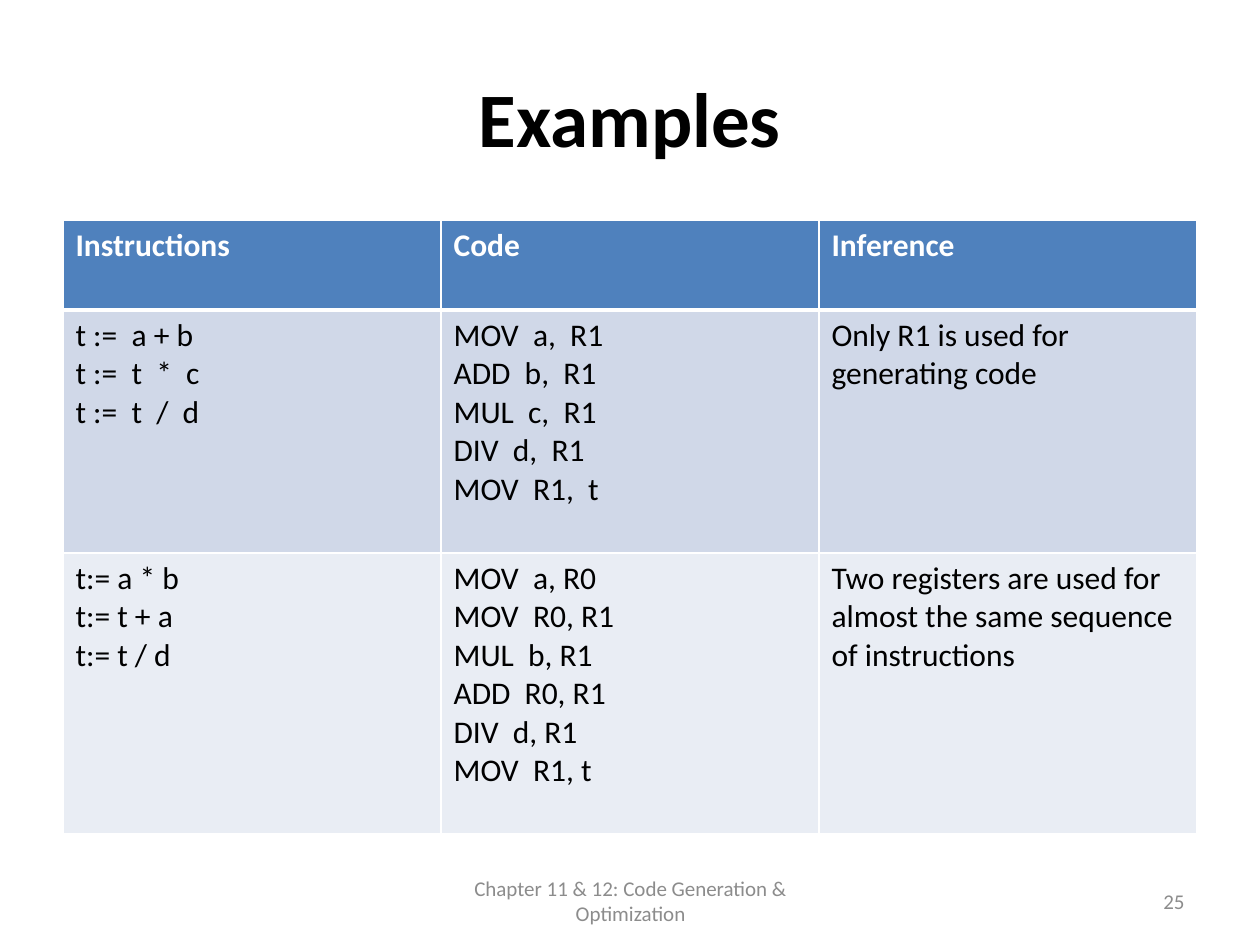
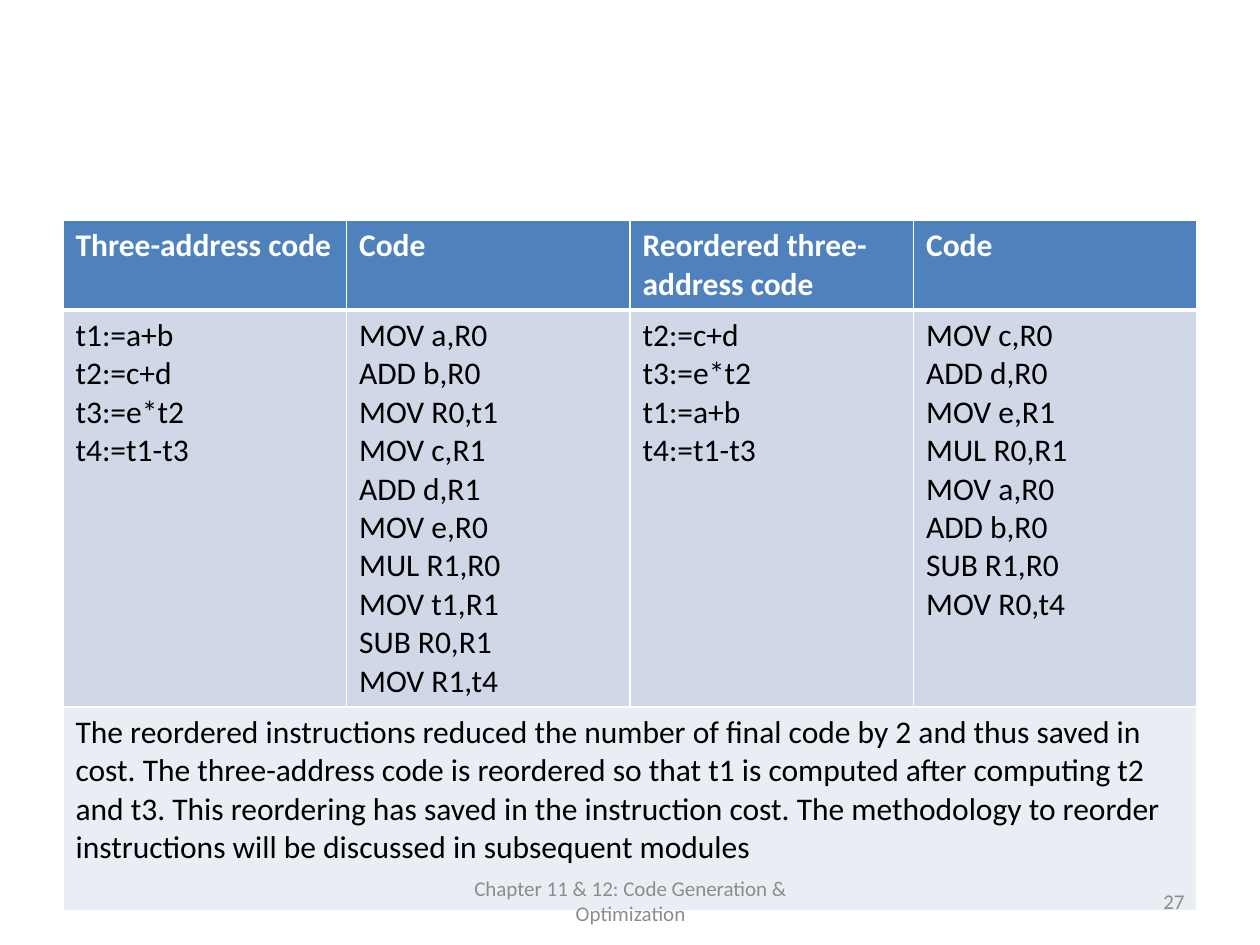
from lxml.etree import SubElement
from pptx import Presentation
from pptx.dml.color import RGBColor
from pptx.enum.text import MSO_ANCHOR as Anchor, PP_ALIGN as Align
from pptx.oxml.ns import qn
from pptx.util import Inches, Pt

WHITE, BLACK, GRAY = "FFFFFF", "000000", "8C8C8C"
HEADER_FILL = "4F81BD"
BAND_FILLS = ("D0D8E8", "E9EDF4")
FOOTER = "Chapter 11 & 12: Code Generation & Optimization"

TITLE_STYLE = {"size": Pt(44), "bold": True, "color": BLACK}
HEADER_STYLE = {"size": Pt(18), "bold": True, "color": WHITE}
BODY_STYLE = {"size": Pt(18), "bold": False, "color": BLACK}
FOOTER_STYLE = {"size": Pt(12), "bold": False, "color": GRAY}


def rgb(color):
    return RGBColor.from_string(color)


class Deck:
    """Holds the shared style and the current slide."""

    def __init__(self, font_name):
        self.font_name = font_name
        self.presentation = Presentation()
        self.presentation.slide_width = Inches(10)
        self.presentation.slide_height = Inches(7.5)
        self.slide = None

    def add_slide(self, title=None):
        layout = self.presentation.slide_layouts[6]
        self.slide = self.presentation.slides.add_slide(layout)
        background = self.slide.background.fill
        background.solid()
        background.fore_color.rgb = rgb(WHITE)
        if title:
            self.text(title, (0.5, 0.3, 9, 1.25), TITLE_STYLE, Align.CENTER)

    def fill_text(self, frame, text, style, align=Align.LEFT):
        """Put each line of text in its own paragraph."""
        frame.word_wrap = True
        for index, line in enumerate(text.split("\n")):
            paragraph = frame.paragraphs[0] if index == 0 else frame.add_paragraph()
            paragraph.alignment = align
            run = paragraph.add_run()
            run.text = line
            run.font.name = self.font_name
            for name, value in style.items():
                if name == "color":
                    run.font.color.rgb = rgb(value)
                else:
                    setattr(run.font, name, value)

    def text(self, text, box, style, align):
        shape = self.slide.shapes.add_textbox(*map(Inches, box))
        shape.text_frame.vertical_anchor = Anchor.MIDDLE
        self.fill_text(shape.text_frame, text, style, align)

    def footer(self, number):
        self.text(str(number), (7.17, 6.95, 2.33, 0.4), FOOTER_STYLE, Align.RIGHT)
        self.text(FOOTER, (3.42, 6.95, 3.17, 0.4), FOOTER_STYLE, Align.CENTER)

    def borders(self, cell, widths):
        """Draw white edges; the lines must come before the cell fill."""
        properties = cell._tc.get_or_add_tcPr()
        for index, (side, width) in enumerate(widths.items()):
            line = SubElement(properties, qn(f"a:ln{side}"), w=str(Pt(width)))
            fill = SubElement(line, qn("a:solidFill"))
            SubElement(fill, qn("a:srgbClr"), val=WHITE)
            properties.insert(index, line)

    def table(self, rows, heights):
        columns = len(rows[0])
        frame = self.slide.shapes.add_table(
            len(rows), columns, Inches(0.5), Inches(1.75), Inches(9), Inches(sum(heights)))
        table = frame.table
        for column in table.columns:
            column.width = Inches(9 / columns)
        for row_index, (texts, height) in enumerate(zip(rows, heights)):
            table.rows[row_index].height = Inches(height)
            is_header = row_index == 0
            color = HEADER_FILL if is_header else BAND_FILLS[(row_index - 1) % 2]
            style = HEADER_STYLE if is_header else BODY_STYLE
            widths = {"L": 1, "R": 1, "T": 3 if row_index == 1 else 1,
                      "B": 3 if is_header else 1}
            for column_index in range(columns):
                cell = table.cell(row_index, column_index)
                cell.fill.solid()
                cell.fill.fore_color.rgb = rgb(color)
                self.borders(cell, widths)
                if column_index < len(texts):
                    self.fill_text(cell.text_frame, texts[column_index], style)
            # A row with a single text spans the whole table
            if len(texts) == 1:
                table.cell(row_index, 0).merge(table.cell(row_index, columns - 1))


def main():
    deck = Deck("Calibri")

    # Register use in two instruction sequences
    deck.add_slide("Examples")
    deck.table([
        ["Instructions", "Code", "Inference"],
        ["t :=  a + b\nt :=  t  *  c\nt :=  t  /  d",
         "MOV  a,  R1\nADD  b,  R1\nMUL  c,  R1\nDIV  d,  R1\nMOV  R1,  t",
         "Only R1 is used for generating code"],
        ["t:= a * b\nt:= t + a\nt:= t / d",
         "MOV  a, R0\nMOV  R0, R1\nMUL  b, R1\nADD  R0, R1\nDIV  d, R1\nMOV  R1, t",
         "Two registers are used for almost the same sequence of instructions"],
    ], [0.71, 1.93, 2.23])
    deck.footer(25)

    # Effect of reordering on the code
    deck.add_slide()
    deck.table([
        ["Three-address code", "Code", "Reordered three-address code", "Code"],
        ["t1:=a+b\nt2:=c+d\nt3:=e*t2\nt4:=t1-t3",
         "MOV a,R0\nADD b,R0\nMOV R0,t1\nMOV c,R1\nADD d,R1\n"
         "MOV e,R0\nMUL R1,R0\nMOV t1,R1\nSUB R0,R1\nMOV R1,t4",
         "t2:=c+d\nt3:=e*t2\nt1:=a+b\nt4:=t1-t3",
         "MOV c,R0\nADD d,R0\nMOV e,R1\nMUL R0,R1\n"
         "MOV a,R0\nADD b,R0\nSUB R1,R0\nMOV R0,t4"],
        ["The reordered instructions reduced the number of final code by 2 and thus "
         "saved in cost. The three-address code is reordered so that t1 is computed "
         "after computing t2 and t3. This reordering has saved in the instruction cost. "
         "The methodology to reorder instructions will be discussed in subsequent modules"],
    ], [0.71, 3.15, 1.62])
    deck.footer(27)

    deck.presentation.save("out.pptx")


if __name__ == "__main__":
    main()
